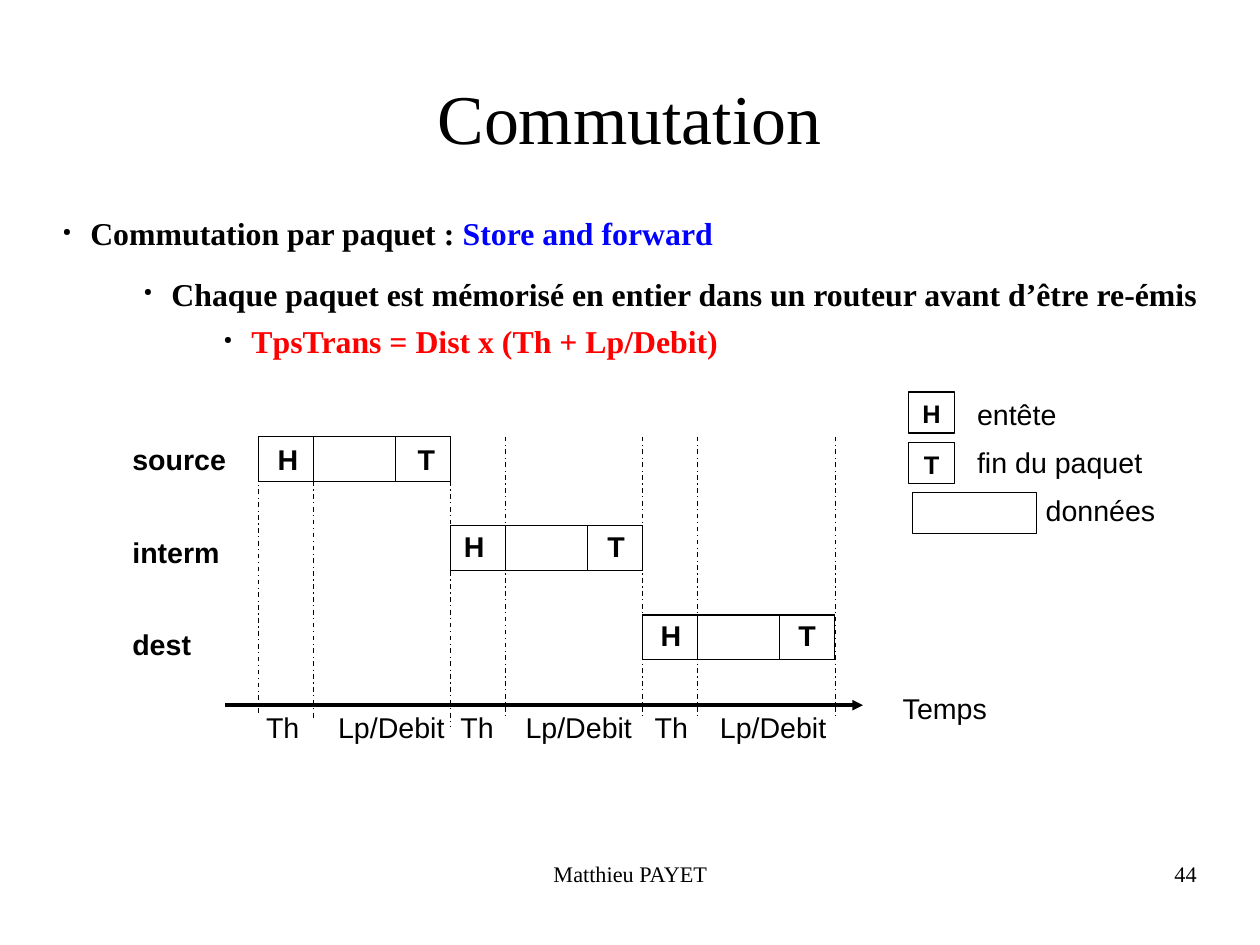
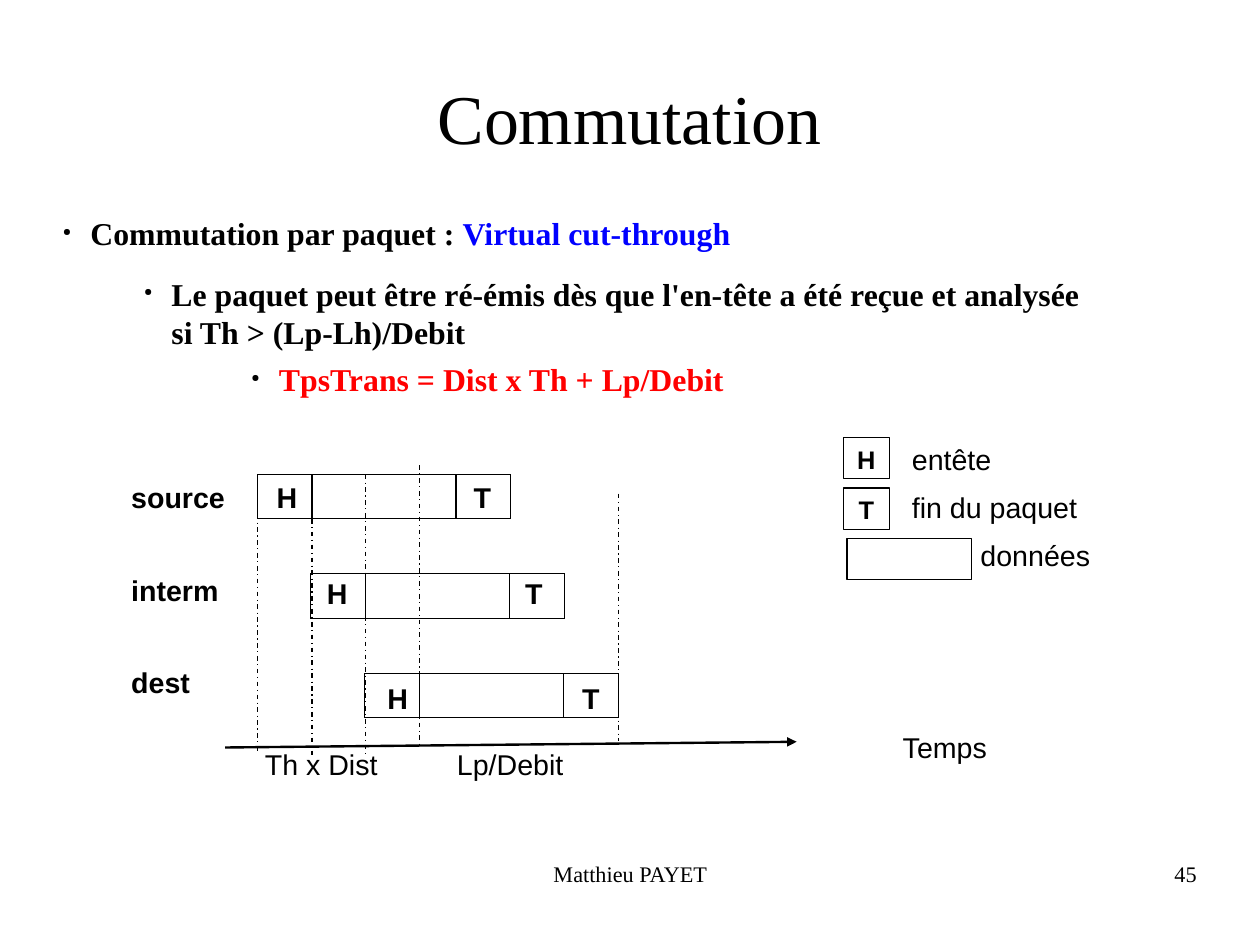
from dataclasses import dataclass

from lxml.etree import SubElement
from pptx import Presentation
from pptx.dml.color import RGBColor
from pptx.enum.dml import MSO_LINE
from pptx.enum.shapes import MSO_CONNECTOR, MSO_SHAPE
from pptx.enum.text import MSO_ANCHOR, PP_ALIGN
from pptx.oxml.ns import qn
from pptx.slide import Slide
from pptx.text.text import Font
from pptx.util import Inches, Pt

COLORS = {"text": "000000", "topic": "0000FF", "formula": "FF0000"}
SERIF, SANS = "Times New Roman", "Arial"
# 28 by 21 centimetres
SLIDE_WIDTH, SLIDE_HEIGHT = Inches(28 / 2.54), Inches(21 / 2.54)
ROW_NAMES = ("source", "interm", "dest")
CELL_WIDTH, CELL_HEIGHT = 0.48, 0.39
LABEL_HEIGHT = 0.4


@dataclass(frozen=True)
class Bullet:
    """A bullet line; each run is a text and a colour name."""
    indent: float
    space_after: float
    runs: tuple[tuple[str, str], ...]


@dataclass(frozen=True)
class Guide:
    """A dashed time mark."""
    x: float
    top: float
    bottom: float


@dataclass(frozen=True)
class Signs:
    """Centres of the H and T letters of one packet."""
    header_x: float
    trailer_x: float
    y: float


@dataclass(frozen=True)
class Timeline:
    """Packets step right and down from one row to the next."""
    left: float
    top: float
    packet_width: float
    step_x: float
    step_y: float
    signs: tuple[Signs, ...]
    guides: tuple[Guide, ...]
    axis: tuple[float, float, float, float]
    axis_weight: float
    time_top: float
    durations_top: float
    durations: tuple[tuple[float, str], ...]


@dataclass(frozen=True)
class CommutationSlide:
    number: int
    body_width: float
    bullets: tuple[Bullet, ...]
    timeline: Timeline
    legend: tuple[float, float]


def set_font(font: Font, name: str, size: float, bold: bool = False, color: str = "text") -> None:
    font.name, font.size, font.bold = name, Pt(size), bold
    font.color.rgb = RGBColor.from_string(COLORS[color])


def add_text(slide: Slide, left: float, top: float, width: float, height: float, text: str,
             size: float = 18, name: str = SANS, bold: bool = False,
             align: PP_ALIGN = PP_ALIGN.LEFT, anchor: MSO_ANCHOR = MSO_ANCHOR.TOP,
             margins: tuple[float, float] = (0.1, 0.05)):
    box = slide.shapes.add_textbox(Inches(left), Inches(top), Inches(width), Inches(height))
    frame = box.text_frame
    frame.word_wrap = True
    frame.vertical_anchor = anchor
    frame.margin_left = frame.margin_right = Inches(margins[0])
    frame.margin_top = frame.margin_bottom = Inches(margins[1])
    paragraph = frame.paragraphs[0]
    paragraph.text, paragraph.alignment = text, align
    set_font(paragraph.font, name, size, bold)
    return frame


def add_cell(slide: Slide, left: float, top: float, width: float,
             height: float = CELL_HEIGHT) -> None:
    cell = slide.shapes.add_shape(MSO_SHAPE.RECTANGLE, Inches(left), Inches(top),
                                  Inches(width), Inches(height))
    cell.shadow.inherit = False
    cell.fill.background()
    cell.line.color.rgb = RGBColor.from_string(COLORS["text"])
    cell.line.width = Pt(0.75)


def add_sign(slide: Slide, center_x: float, center_y: float, sign: str, size: float = 18) -> None:
    add_text(slide, center_x - CELL_WIDTH / 2, center_y - LABEL_HEIGHT / 2, CELL_WIDTH,
             LABEL_HEIGHT, sign, size, bold=True, align=PP_ALIGN.CENTER,
             anchor=MSO_ANCHOR.MIDDLE, margins=(0, 0))


def add_line(slide: Slide, x1: float, y1: float, x2: float, y2: float,
             weight: float = 0.75, arrow: bool = False) -> None:
    connector = slide.shapes.add_connector(MSO_CONNECTOR.STRAIGHT, Inches(x1), Inches(y1),
                                           Inches(x2), Inches(y2))
    connector.line.color.rgb = RGBColor.from_string(COLORS["text"])
    connector.line.width = Pt(weight)
    if arrow:
        SubElement(connector.line._get_or_add_ln(), qn("a:tailEnd"), type="triangle")
    else:
        connector.line.dash_style = MSO_LINE.DASH_DOT
    SubElement(connector._element.spPr, qn("a:effectLst"))


def add_bullets(slide: Slide, width: float, bullets: tuple[Bullet, ...]) -> None:
    frame = add_text(slide, 0.55, 1.87, width, 5.6, "", margins=(0, 0))
    for index, bullet in enumerate(bullets):
        paragraph = frame.add_paragraph() if index else frame.paragraphs[0]
        paragraph.space_after = Pt(bullet.space_after)
        set_font(paragraph.font, SERIF, 20, True)
        for text, color in bullet.runs:
            run = paragraph.add_run()
            run.text = text
            set_font(run.font, SERIF, 20, True, color)
        # Bullet sign, small and black
        properties = paragraph._p.get_or_add_pPr()
        properties.set("marL", str(Inches(bullet.indent)))
        properties.set("indent", str(Inches(-0.24)))
        default_font = properties.find(qn("a:defRPr"))
        sign_color = SubElement(properties, qn("a:buClr"))
        SubElement(sign_color, qn("a:srgbClr"), val=COLORS["text"])
        SubElement(properties, qn("a:buSzPct"), val="33000")
        SubElement(properties, qn("a:buChar"), char="●")
        properties.append(default_font)


def add_timeline(slide: Slide, timeline: Timeline) -> None:
    for row, (name, signs) in enumerate(zip(ROW_NAMES, timeline.signs)):
        left = timeline.left + row * timeline.step_x
        top = timeline.top + row * timeline.step_y
        add_text(slide, timeline.left - 1.2, timeline.top + row * 0.81, 1.2, LABEL_HEIGHT,
                 name, bold=True)
        # Packet: outline, header and trailer
        add_cell(slide, left, top, timeline.packet_width)
        add_cell(slide, left, top, CELL_WIDTH)
        add_cell(slide, left + timeline.packet_width - CELL_WIDTH, top, CELL_WIDTH)
        add_sign(slide, signs.header_x, signs.y, "H")
        add_sign(slide, signs.trailer_x, signs.y, "T")
    for guide in timeline.guides:
        add_line(slide, guide.x, guide.top, guide.x, guide.bottom)
    # Time axis
    add_line(slide, *timeline.axis, weight=timeline.axis_weight, arrow=True)
    add_text(slide, 7.8, timeline.time_top, 1.53, LABEL_HEIGHT, "Temps")
    for left, text in timeline.durations:
        add_text(slide, left, timeline.durations_top, 1.3, LABEL_HEIGHT, text)


def add_legend(slide: Slide, left: float, top: float) -> None:
    entries = ((0, 0.4, "H", 0.5, "entête"),
               (0, 0.4, "T", 0.5, "fin du paquet"),
               (0.03, 1.09, "", 1.1, "données"))
    for row, (cell_x, width, sign, label_x, label) in enumerate(entries):
        cell_top = top + row * 0.44
        add_cell(slide, left + cell_x, cell_top, width, 0.36)
        if sign:
            add_sign(slide, left + 0.2, cell_top + 0.19, sign, 16)
        add_text(slide, left + label_x, top + row * 0.42 - 0.01, 1.8, LABEL_HEIGHT, label)


def add_commutation_slide(presentation, content: CommutationSlide) -> None:
    slide = presentation.slides.add_slide(presentation.slide_layouts[6])
    add_text(slide, 0.55, 0.33, 9.92, 1.38, "Commutation", 44, SERIF,
             align=PP_ALIGN.CENTER, anchor=MSO_ANCHOR.MIDDLE, margins=(0, 0))
    add_bullets(slide, content.body_width, content.bullets)
    add_timeline(slide, content.timeline)
    add_legend(slide, *content.legend)
    # Footer
    add_text(slide, 3.77, 7.53, 3.49, 0.57, "Matthieu PAYET", 14, SERIF,
             align=PP_ALIGN.CENTER, margins=(0, 0))
    add_text(slide, 7.9, 7.53, 2.57, 0.57, str(content.number), 14, SERIF,
             align=PP_ALIGN.RIGHT, margins=(0, 0))


def make_bullets(topic: str, rule: str, formula: str, formula_indent: float) -> tuple[Bullet, ...]:
    return (Bullet(0.24, 14.2, (("Commutation par paquet : ", "text"), (topic, "topic"))),
            Bullet(0.95, 5.7, ((rule, "text"),)),
            Bullet(formula_indent, 2.8, ((formula, "formula"),)))


STORE_AND_FORWARD = CommutationSlide(
    number=44,
    body_width=10.24,
    bullets=make_bullets(
        "Store and forward",
        "Chaque paquet est mémorisé en entier dans un routeur avant d’être re-émis",
        "TpsTrans = Dist x (Th + Lp/Debit)", 1.65),
    timeline=Timeline(
        left=2.26, top=3.82, packet_width=1.68, step_x=1.68, step_y=0.78,
        signs=(Signs(2.52, 3.73, 4.02), Signs(4.15, 5.39, 4.78), Signs(5.87, 7.06, 5.56)),
        guides=(Guide(2.26, 4.17, 6.25), Guide(2.74, 4.21, 6.29), Guide(3.94, 4.21, 6.36),
                *(Guide(x, 3.82, 6.29) for x in (4.42, 5.62, 6.1, 7.31))),
        axis=(1.97, 6.17, 7.55, 6.17), axis_weight=2.25,
        time_top=6, durations_top=6.16,
        durations=((2.23, "Th"), (2.86, "Lp/Debit"), (3.93, "Th"),
                   (4.5, "Lp/Debit"), (5.63, "Th"), (6.2, "Lp/Debit"))),
    legend=(7.95, 3.43))

CUT_THROUGH = CommutationSlide(
    number=45,
    body_width=9.05,
    bullets=make_bullets(
        "Virtual cut-through",
        "Le paquet peut être ré-émis dès que l'en-tête a été reçue et analysée "
        "si Th > (Lp-Lh)/Debit",
        "TpsTrans = Dist x Th + Lp/Debit", 1.89),
    timeline=Timeline(
        left=2.25, top=4.15, packet_width=2.22, step_x=0.47, step_y=0.87,
        signs=(Signs(2.51, 4.22, 4.35), Signs(2.95, 4.67, 5.19), Signs(3.48, 5.17, 6.11)),
        guides=(Guide(2.25, 4.5, 6.58), Guide(2.73, 4.54, 6.62), Guide(3.2, 4.15, 6.62),
                Guide(3.67, 4.07, 6.54), Guide(5.41, 4.32, 6.48)),
        axis=(1.97, 6.54, 6.97, 6.49), axis_weight=1.5,
        time_top=6.34, durations_top=6.49,
        durations=((2.22, "Th x Dist"), (3.9, "Lp/Debit"))),
    legend=(7.38, 3.83))


def main() -> None:
    presentation = Presentation()
    presentation.slide_width, presentation.slide_height = SLIDE_WIDTH, SLIDE_HEIGHT
    for content in (STORE_AND_FORWARD, CUT_THROUGH):
        add_commutation_slide(presentation, content)
    presentation.save("out.pptx")


if __name__ == "__main__":
    main()
